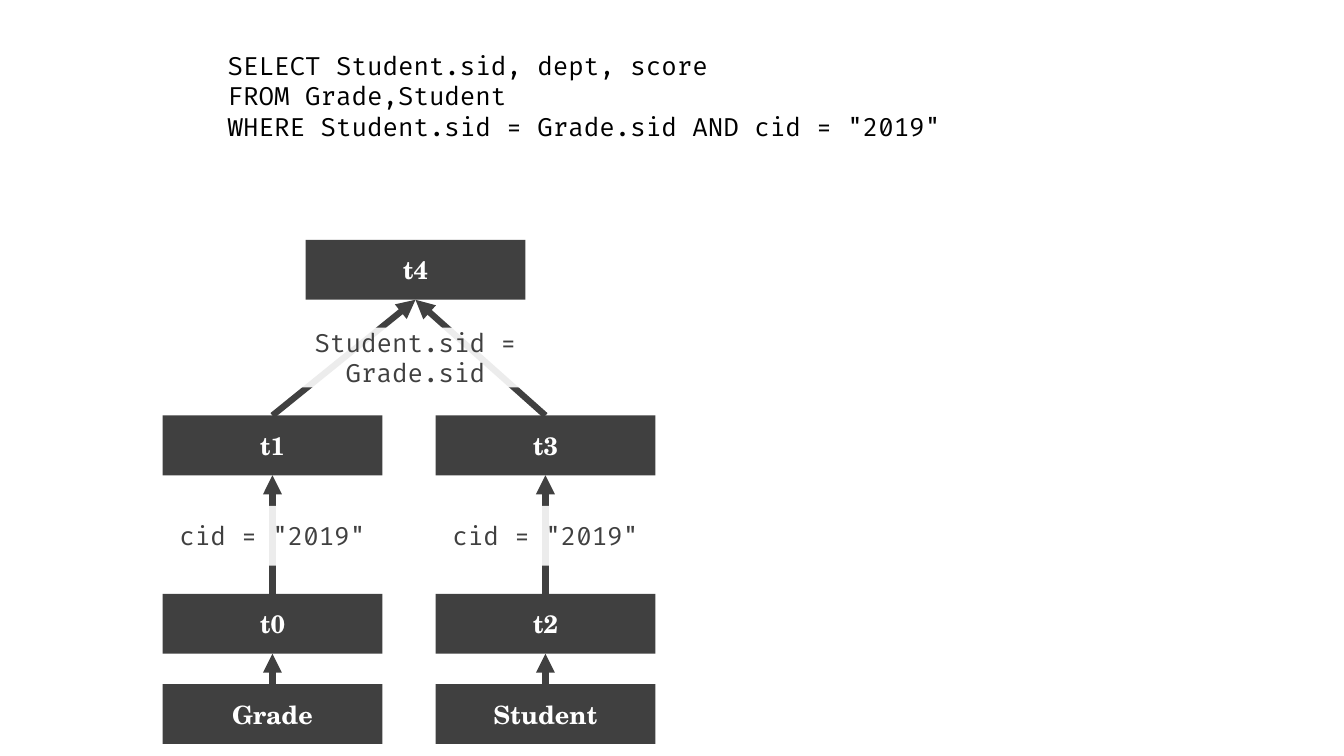
from dataclasses import dataclass

from lxml.etree import SubElement
from pptx import Presentation
from pptx.dml.color import RGBColor
from pptx.enum.shapes import MSO_CONNECTOR as CONN, MSO_SHAPE as SHAPE
from pptx.enum.text import MSO_ANCHOR as ANCHOR, MSO_AUTO_SIZE as FIT, PP_ALIGN as ALIGN
from pptx.oxml.ns import qn
from pptx.util import Pt


@dataclass(frozen=True)
class Theme:
    black: RGBColor = RGBColor(0x00, 0x00, 0x00)
    dark: RGBColor = RGBColor(0x40, 0x40, 0x40)
    white: RGBColor = RGBColor(0xFF, 0xFF, 0xFF)
    code: str = "Fira Code"
    serif: str = "TeX Gyre Schola"
    size: int = 18
    line: float = 4.5
    label_alpha: int = 90


THEME = Theme()
TOP, BOTTOM = 0, 2
NODE_W, NODE_H = 157, 42.75
LABEL_W = 265

QUERY = [
    "SELECT Student.sid, dept, score",
    "FROM Grade,Student",
    'WHERE Student.sid = Grade.sid AND cid = "2019"',
]
BRANCHES = [
    (0, ["Grade", "t0", "t1"], 'cid = "2019"'),
    (195, ["Student", "t2", "t3"], 'cid = "2019"'),
]
LEVELS = [317.2, 252.8, 125.4]
ROOT_X = 102.2
FILTER_Y = 190
JOIN_Y = 62.6


def add_run(p, text, font, color, bold=False):
    r = p.add_run()
    r.text = text
    r.font.name = font
    r.font.size = Pt(THEME.size)
    r.font.bold = bold
    r.font.color.rgb = color


def add_box(s, x, y, w, text, fill, font, color, bold=False):
    sp = s.shapes.add_shape(SHAPE.RECTANGLE, Pt(x), Pt(y), Pt(w), Pt(NODE_H))
    sp.shadow.inherit = False
    sp.fill.solid()
    sp.fill.fore_color.rgb = fill
    sp.line.fill.background()
    tf = sp.text_frame
    tf.word_wrap = True
    tf.vertical_anchor = ANCHOR.MIDDLE
    p = tf.paragraphs[0]
    p.alignment = ALIGN.CENTER
    add_run(p, text, font, color, bold)
    return sp


def add_node(s, x, y, text):
    return add_box(s, x, y, NODE_W, text, THEME.dark, THEME.serif, THEME.white, True)


def add_label(s, x, y, w, text):
    sp = add_box(s, x, y, w, text, THEME.white, THEME.code, THEME.dark)
    color = sp.fill._xPr.find(qn("a:solidFill"))[0]
    SubElement(color, qn("a:alpha"), val=str(THEME.label_alpha * 1000))


def add_arrow(s, lower, upper):
    cx = s.shapes.add_connector(CONN.STRAIGHT, 0, 0, 0, 0)
    cx.begin_connect(lower, TOP)
    cx.end_connect(upper, BOTTOM)
    cx.line.color.rgb = THEME.dark
    cx.line.width = Pt(THEME.line)
    SubElement(cx.line._get_or_add_ln(), qn("a:tailEnd"), type="triangle")
    SubElement(cx._element.spPr, qn("a:effectLst"))


def add_query(s, x, y, w, h):
    tf = s.shapes.add_textbox(Pt(x), Pt(y), Pt(w), Pt(h)).text_frame
    tf.word_wrap = True
    tf.auto_size = FIT.SHAPE_TO_FIT_TEXT
    for i, line in enumerate(QUERY):
        p = tf.add_paragraph() if i else tf.paragraphs[0]
        add_run(p, line, THEME.code, THEME.black)


def add_plan_tree(s, x, y):
    chains = [
        [add_node(s, x + dx, y + dy, name) for name, dy in zip(names, LEVELS)]
        for dx, names, _ in BRANCHES
    ]
    root = add_node(s, x + ROOT_X, y, "t4")
    for chain in chains:
        for lower, upper in zip(chain, chain[1:] + [root]):
            add_arrow(s, lower, upper)
    for dx, _, condition in BRANCHES:
        add_label(s, x + dx, y + FILTER_Y, NODE_W, condition)
    join_x = x + ROOT_X + (NODE_W - LABEL_W) / 2
    add_label(s, join_x, y + JOIN_Y, LABEL_W, "Student.sid = Grade.sid")


def main():
    prs = Presentation()
    prs.slide_width, prs.slide_height = Pt(960), Pt(540)
    s = prs.slides.add_slide(prs.slide_layouts[6])
    add_query(s, 155.5, 32.4, 648.7, 72.7)
    add_plan_tree(s, 116.1, 171.4)
    prs.save("out.pptx")


if __name__ == "__main__":
    main()
